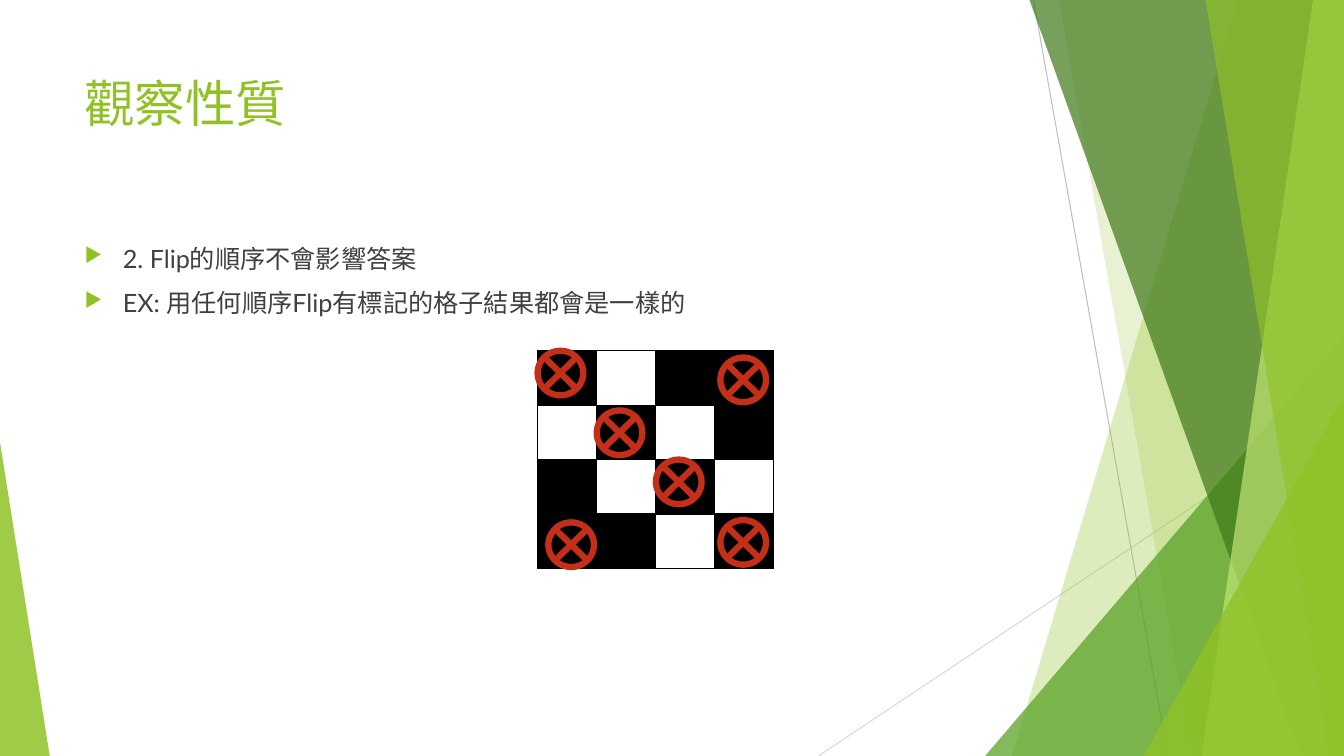
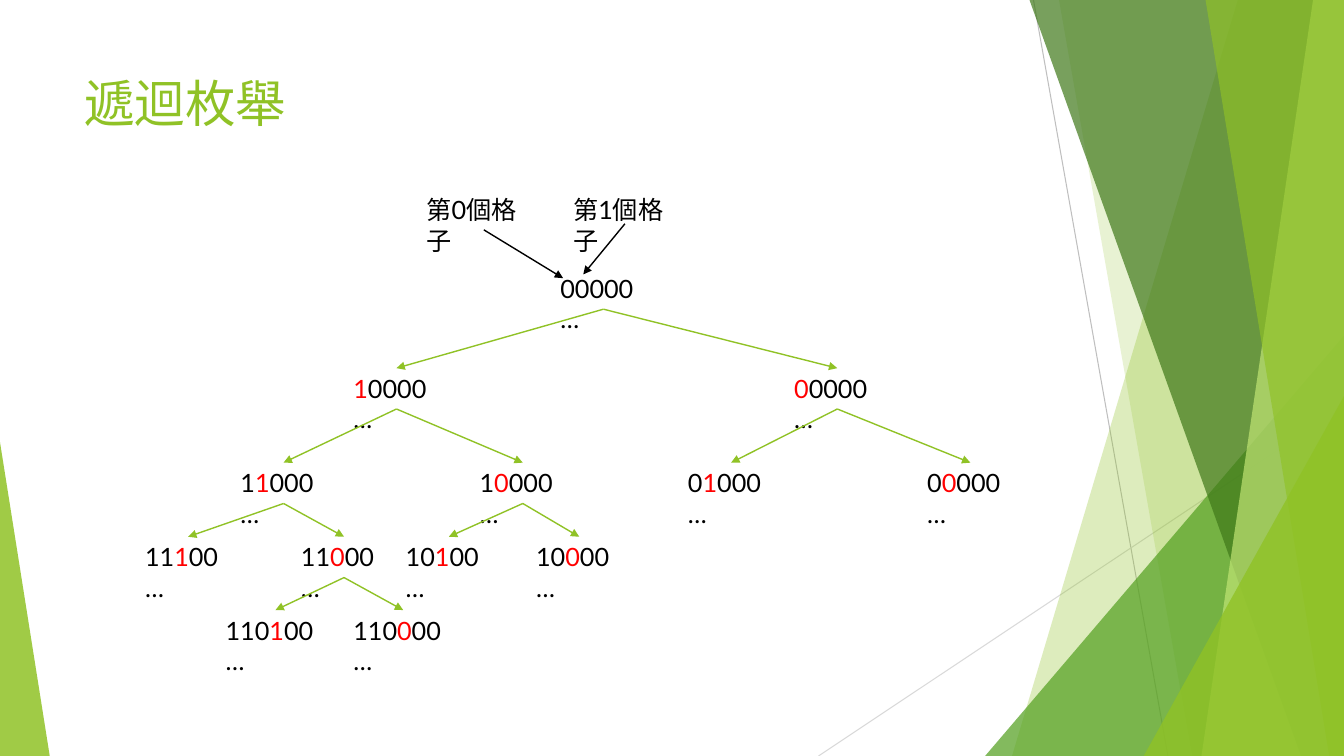
import lxml.etree
import pptx
import pptx.dml.color
import pptx.enum.shapes
import pptx.oxml.ns
import pptx.util

RGB = pptx.dml.color.RGBColor
SHAPE = pptx.enum.shapes.MSO_SHAPE
LINK = pptx.enum.shapes.MSO_CONNECTOR
Pt = pptx.util.Pt
qn = pptx.oxml.ns.qn

LIME = RGB(0x90, 0xC2, 0x26)
GREEN = RGB(0x54, 0xA0, 0x21)
DARK = RGB(0x3F, 0x78, 0x19)
PALE = RGB(0xC0, 0xE4, 0x74)
GREY = RGB(0xBF, 0xBF, 0xBF)
SILVER = RGB(0xD9, 0xD9, 0xD9)
INK = RGB(0x40, 0x40, 0x40)
BLACK = RGB(0, 0, 0)
WHITE = RGB(255, 255, 255)
RED = RGB(255, 0, 0)
BRICK = RGB(0xC4, 0x2F, 0x1A)

FONT = "Lato"
WIDE, HIGH = pptx.util.Inches(13.333), pptx.util.Inches(7.5)

# Lengths are percentages of the slide's width and height.
LEFT, SPAN = 5.55, 70.5
LINE = 5.4
CELL_W, CELL_H = 4.39, 7.2
BOARD_X, BOARD_Y = 40, 46.4
BOARD = ["#.##", ".#.#", "#.#.", "##.#"]
MARKS = [(40.8, 69.1), (40, 46.4), (44.4, 54.3),
         (48.8, 60.8), (53.6, 68.8), (53.6, 47.3)]

TOPS = [35.5, 48.7, 61.2, 71, 80.7]
# Digits chosen so far -> centre of the node
TREE = {"": 44.9, "1": 29.5, "0": 62.3,
        "11": 21.1, "10": 38.9, "01": 54.4, "00": 72.2,
        "111": 14, "110": 25.6, "101": 33.4, "100": 43.1,
        "1101": 20.5, "1100": 30}


def px(x):
    return round(WIDE * x / 100)


def py(y):
    return round(HIGH * y / 100)


def box(x, y, w, h):
    return px(x), py(y), px(w), py(h)


def add(node, tag, **attrs):
    return lxml.etree.SubElement(node, qn(tag), attrs)


def paint(shape, color, alpha):
    """Fill a shape with a see-through colour, without outline."""
    shape.shadow.inherit = False
    shape.line.fill.background()
    shape.fill.solid()
    shape.fill.fore_color.rgb = color
    tint = shape._element.spPr.find(qn("a:solidFill"))[0]
    add(tint, "a:alpha", val=str(alpha * 1000))


def line(slide, start, end, color, width=1, arrow=True):
    link = slide.shapes.add_connector(
        LINK.STRAIGHT, px(start[0]), py(start[1]), px(end[0]), py(end[1]))
    link.line.color.rgb = color
    link.line.width = Pt(width)
    if arrow:
        add(link.line._get_or_add_ln(), "a:tailEnd", type="triangle")
    add(link._element.spPr, "a:effectLst")


def band(slide, top, foot, color, alpha):
    """Draw a slanted band that reaches the right edge."""
    draft = slide.shapes.build_freeform(px(top), 0)
    draft.add_line_segments([(WIDE, 0), (WIDE, HIGH), (px(foot), HIGH)])
    paint(draft.convert_to_shape(), color, alpha)


def wedge(slide, x, y, w, peak, alpha, color=LIME):
    """Draw a right triangle that stands on the bottom edge."""
    shape = slide.shapes.add_shape(SHAPE.ISOSCELES_TRIANGLE,
                                   *box(x, y, w, 100 - y))
    shape.adjustments[0] = peak
    paint(shape, color, alpha)


def frame(slide, x, y, w, h):
    text = slide.shapes.add_textbox(*box(x, y, w, h)).text_frame
    text.word_wrap = True
    return text


def style(para, color=None, size=18):
    para.font.name = FONT
    para.font.size = Pt(size)
    if color is not None:
        para.font.color.rgb = color


def label(slide, x, y, w, h, text, color=BLACK, size=18):
    para = frame(slide, x, y, w, h).paragraphs[0]
    para.text = text
    style(para, color, size)


def bullets(slide, items):
    text = frame(slide, LEFT, 31.5, SPAN, 56.5)
    for i, item in enumerate(items):
        para = text.add_paragraph() if i else text.paragraphs[0]
        para.text = item
        para.space_before = Pt(10)
        props = para._p.get_or_add_pPr()
        indent = pptx.util.Inches(0.38)
        props.set("marL", str(indent))
        props.set("indent", str(-indent))
        add(add(props, "a:buClr"), "a:srgbClr", val=str(LIME))
        add(props, "a:buSzPct", val="80000")
        add(props, "a:buChar", char="▶")
        style(para, INK)


def base(deck, title):
    """Add a slide with the shared backdrop and a title."""
    slide = deck.slides.add_slide(deck.slide_layouts[6])
    line(slide, (76.9, 0), (86.9, 100), GREY, 0.75, False)
    line(slide, (100, 53.7), (60.9, 100), SILVER, 0.75, False)
    band(slide, 92.1, 75.3, LIME, 30)
    band(slide, 78.8, 88.7, LIME, 20)
    wedge(slide, 73.3, 44.4, 26.7, 1, 72, GREEN)
    band(slide, 76.6, 96.8, DARK, 70)
    band(slide, 97.7, 89.4, PALE, 70)
    band(slide, 89.7, 98.9, LIME, 65)
    wedge(slide, 85.1, 52.4, 14.9, 1, 80)
    wedge(slide, 0, 58.5, 3.7, 0, 85)
    label(slide, LEFT, 8.9, SPAN, 19.2, title, LIME, 36)
    return slide


def border(cell):
    props = cell._tc.get_or_add_tcPr()
    for side in "LRTB":
        edge = add(props, "a:ln" + side, w=str(Pt(1)))
        add(add(edge, "a:solidFill"), "a:srgbClr", val=str(BLACK))


def board(slide):
    size = len(BOARD)
    table = slide.shapes.add_table(
        size, size,
        *box(BOARD_X, BOARD_Y, size * CELL_W, size * CELL_H)).table
    table.first_row = table.horz_banding = False
    for r, row in enumerate(BOARD):
        table.rows[r].height = py(CELL_H)
        table.columns[r].width = px(CELL_W)
        for c, sign in enumerate(row):
            cell = table.cell(r, c)
            border(cell)
            cell.fill.solid()
            cell.fill.fore_color.rgb = BLACK if sign == "#" else WHITE


def mark(slide, x, y):
    shape = slide.shapes.add_shape(SHAPE.FLOWCHART_SUMMING_JUNCTION,
                                   *box(x, y, 3.4, 5.9))
    shape.shadow.inherit = False
    shape.fill.background()
    shape.line.color.rgb = BRICK
    shape.line.width = Pt(4.5)


def node(slide, key, x):
    """Write a tree node, its newest digit in red, and the arrow to it."""
    depth = len(key)
    count = max(5, depth + 2)
    width = 7.9 + count - 5
    top = TOPS[depth]
    para = frame(slide, x - width / 2, top, width, LINE).paragraphs[0]
    style(para)
    parts = [(key[:-1], BLACK), (key[-1:], RED),
             ("0" * (count - depth) + "…", BLACK)]
    for text, color in parts:
        if text:
            run = para.add_run()
            run.text = text
            run.font.color.rgb = color
    if key:
        start = TREE[key[:-1]], TOPS[depth - 1] + LINE
        line(slide, start, (x, top), LIME)


def flips(deck):
    slide = base(deck, "觀察性質")
    bullets(slide, ["2. Flip的順序不會影響答案",
                    "EX: 用任何順序Flip有標記的格子結果都會是一樣的"])
    board(slide)
    for x, y in MARKS:
        mark(slide, x, y)


def search(deck):
    slide = base(deck, "遞迴枚舉")
    for key, x in TREE.items():
        node(slide, key, x)
    for i, x in enumerate((31, 41.9)):
        label(slide, x, 25.1, 10, LINE, f"第{i}個格子")
    line(slide, (36, 30.4), (41.9, 36.8), BLACK)
    line(slide, (46.5, 29.6), (43.4, 36.3), BLACK)


def main():
    deck = pptx.Presentation()
    deck.slide_width, deck.slide_height = WIDE, HIGH
    flips(deck)
    search(deck)
    deck.save("out.pptx")


if __name__ == "__main__":
    main()
